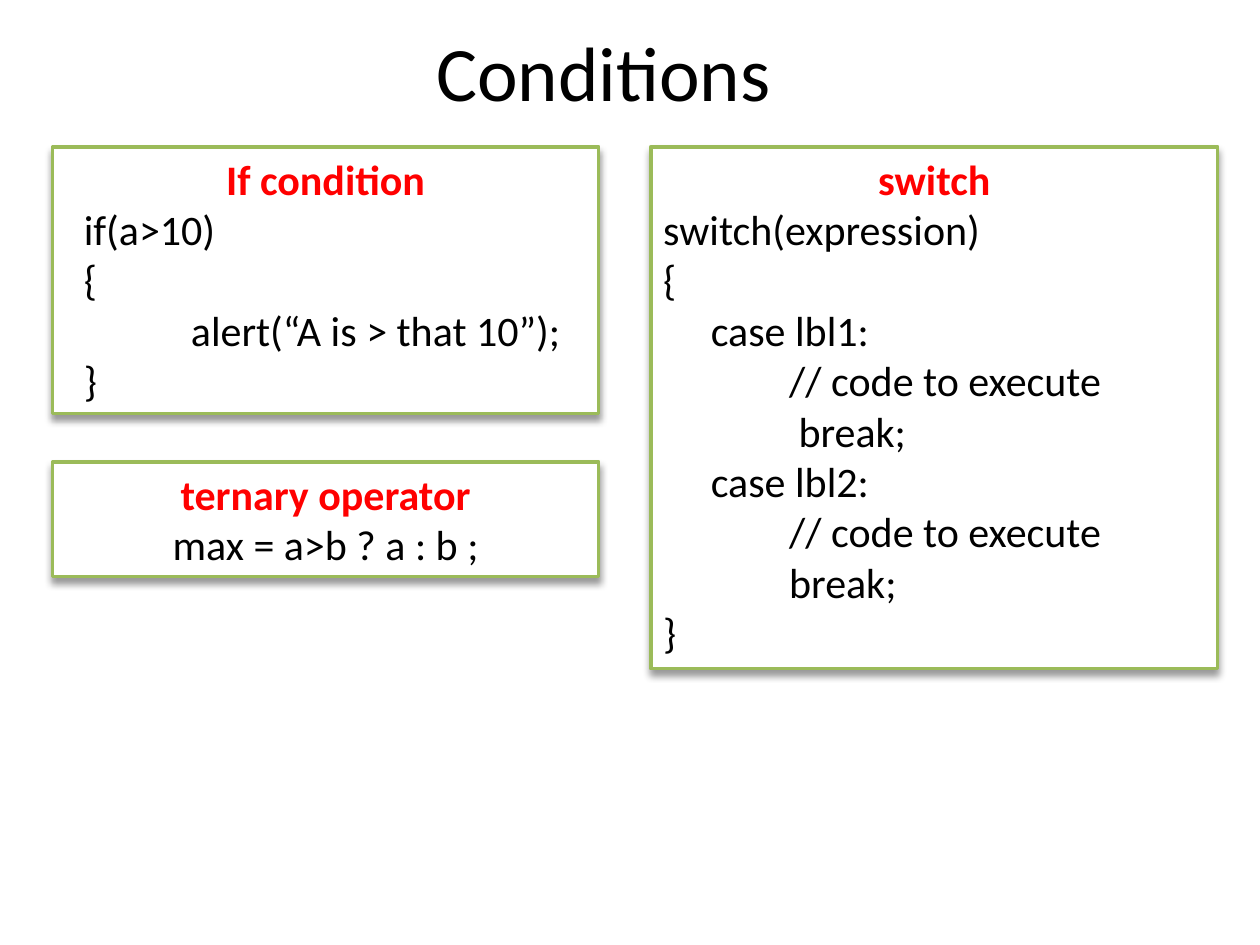
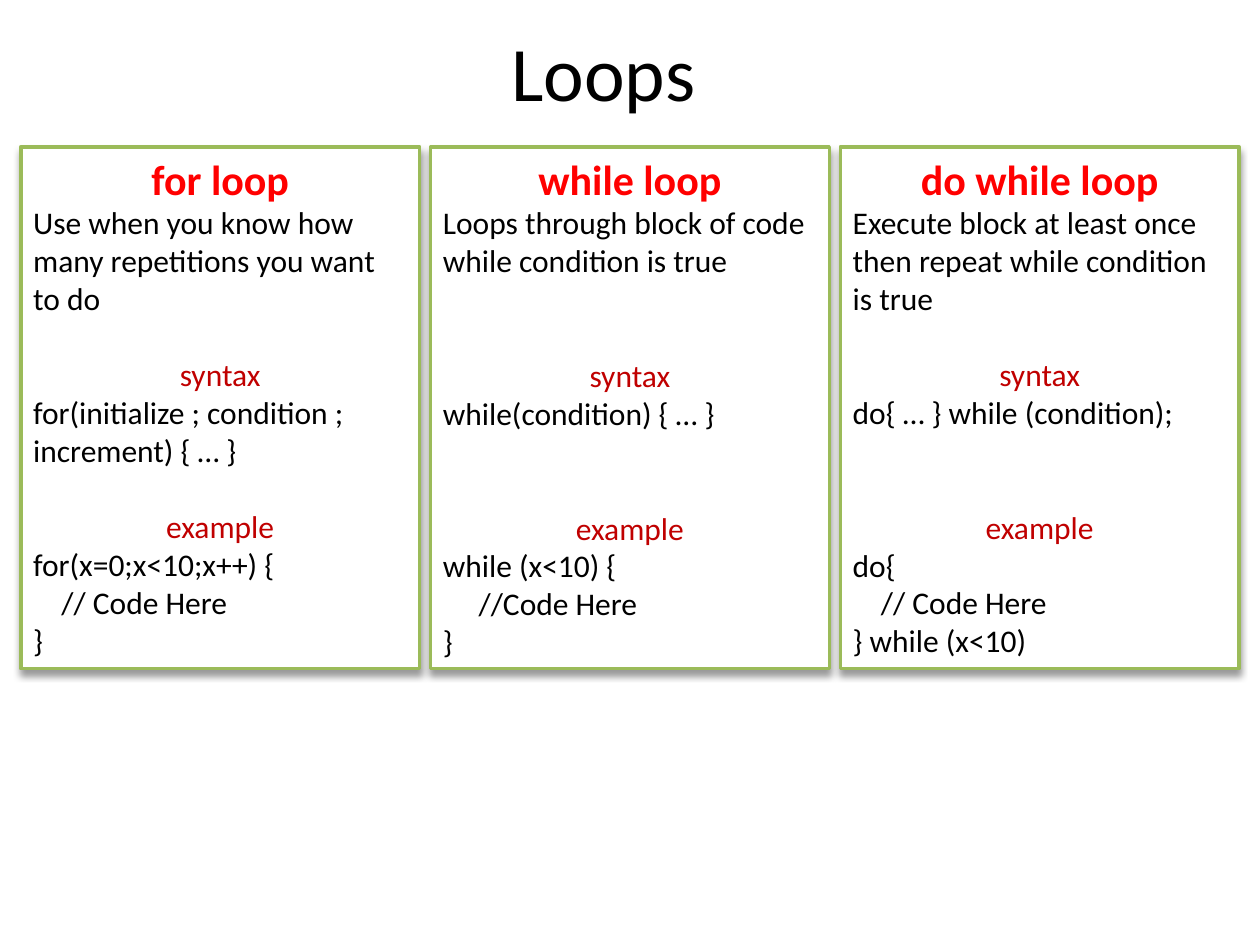
from dataclasses import dataclass

from lxml import etree
from pptx import Presentation
from pptx.dml.color import RGBColor
from pptx.enum.shapes import MSO_SHAPE
from pptx.enum.text import MSO_ANCHOR, MSO_AUTO_SIZE, PP_ALIGN
from pptx.oxml.ns import qn
from pptx.slide import Slide
from pptx.util import Cm, Pt

RECTANGLE = MSO_SHAPE.RECTANGLE
TOP, MIDDLE = MSO_ANCHOR.TOP, MSO_ANCHOR.MIDDLE
LEFT, CENTER = PP_ALIGN.LEFT, PP_ALIGN.CENTER
FIT_SHAPE, NO_FIT = MSO_AUTO_SIZE.SHAPE_TO_FIT_TEXT, MSO_AUTO_SIZE.NONE
TITLE_ONLY = 5


@dataclass(frozen=True)
class Theme:
    font: str = "Calibri"
    ink: str = "000000"
    paper: str = "FFFFFF"
    border: str = "9BBB59"
    heading: str = "FF0000"
    label: str = "C00000"
    title_size: int = 44
    heading_size: int = 24
    code_size: int = 24
    note_size: int = 18
    line_height: float = 1.22


THEME = Theme()


@dataclass(frozen=True)
class Line:
    text: str
    indent: float = 0
    align: PP_ALIGN = LEFT
    color: str = THEME.ink
    gap_lines: int = 0


@dataclass(frozen=True)
class Card:
    heading: str
    lines: list[Line]
    left: float
    top: float
    width: float
    height: float
    size: int = THEME.code_size


@dataclass(frozen=True)
class Loop:
    heading: str
    purpose: str
    syntax: str
    example: list[Line]
    syntax_gap: int
    example_gap: int


CARD_TOP = 2.96
TALL_CARD = 10.52
LEFT_COLUMN, LEFT_WIDTH = 1.06, 11.01
BRACE_INDENT, CASE_INDENT, TAB_INDENT = 0.38, 0.96, 2.54
LOOP_LEFT, LOOP_WIDTH, LOOP_PITCH = 0.42, 8.04, 8.26

CONDITIONS = [
    Card("If condition", [
        Line("if(a>10)", BRACE_INDENT),
        Line("{", BRACE_INDENT),
        Line("alert(“A is > that 10”);", TAB_INDENT),
        Line("}", BRACE_INDENT),
    ], LEFT_COLUMN, CARD_TOP, LEFT_WIDTH, 5.38),
    Card("switch", [
        Line("switch(expression)"),
        Line("{"),
        Line("case lbl1:", CASE_INDENT),
        Line("// code to execute", TAB_INDENT),
        Line("break;", TAB_INDENT + 0.19),
        Line("case lbl2:", CASE_INDENT),
        Line("// code to execute", TAB_INDENT),
        Line("break;", TAB_INDENT),
        Line("}"),
    ], 13.12, CARD_TOP, 11.43, TALL_CARD),
    Card("ternary operator", [Line("max = a>b ? a : b ;", align=CENTER)],
         LEFT_COLUMN, 9.31, LEFT_WIDTH, 2.31),
]

LOOPS = [
    Loop("for loop", "Use when you know how many repetitions you want to do",
         "for(initialize ; condition ; increment) { … }",
         [Line("for(x=0;x<10;x++) {"), Line("// Code Here", 0.57), Line("}")], 1, 1),
    Loop("while loop", "Loops through block of code while condition is true",
         "while(condition) { … }",
         [Line("while (x<10) {"), Line("//Code Here", 0.72), Line("}")], 2, 2),
    Loop("do while loop", "Execute block at least once then repeat while condition is true",
         "do{ … } while (condition);",
         [Line("do{"), Line("// Code Here", 0.57), Line("} while (x<10)")], 1, 2),
]


def label(text: str, gap_lines: int) -> Line:
    return Line(text, align=CENTER, color=THEME.label, gap_lines=gap_lines)


def loop_card(loop: Loop, column: int) -> Card:
    lines = [
        Line(loop.purpose),
        label("syntax", loop.syntax_gap),
        Line(loop.syntax),
        label("example", loop.example_gap),
        *loop.example,
    ]
    return Card(loop.heading, lines, LOOP_LEFT + column * LOOP_PITCH, CARD_TOP,
                LOOP_WIDTH, TALL_CARD, THEME.note_size)


def write_line(paragraph, line: Line, size: int, bold: bool = False) -> None:
    paragraph.text = line.text
    paragraph.alignment = line.align
    paragraph.font.name = THEME.font
    paragraph.font.size = Pt(size)
    paragraph.font.bold = bold
    paragraph.font.color.rgb = RGBColor.from_string(line.color)
    if line.gap_lines:
        paragraph.space_before = Pt(round(line.gap_lines * size * THEME.line_height))
    if line.indent:
        properties = paragraph._p.get_or_add_pPr()
        properties.set("marL", str(Cm(line.indent)))
        properties.set("indent", "0")


def add_shadow(shape) -> None:
    shape.shadow.inherit = False
    effects = shape._element.spPr.find(qn("a:effectLst"))
    shadow = etree.SubElement(effects, qn("a:outerShdw"), blurRad=str(Cm(0.14)),
                              dist=str(Cm(0.11)), dir="5400000", rotWithShape="0")
    color = etree.SubElement(shadow, qn("a:srgbClr"), val=THEME.ink)
    etree.SubElement(color, qn("a:alpha"), val="40000")


def draw_card(slide: Slide, card: Card) -> None:
    shape = slide.shapes.add_shape(RECTANGLE, Cm(card.left), Cm(card.top),
                                   Cm(card.width), Cm(card.height))
    shape.fill.solid()
    shape.fill.fore_color.rgb = RGBColor.from_string(THEME.paper)
    shape.line.color.rgb = RGBColor.from_string(THEME.border)
    shape.line.width = Cm(0.07)
    add_shadow(shape)
    frame = shape.text_frame
    frame.word_wrap = True
    frame.auto_size = FIT_SHAPE
    frame.vertical_anchor = TOP
    heading = Line(card.heading, align=CENTER, color=THEME.heading)
    write_line(frame.paragraphs[0], heading, THEME.heading_size, bold=True)
    for line in card.lines:
        write_line(frame.add_paragraph(), line, card.size)


def add_card_slide(presentation, title: str, cards: list[Card]) -> None:
    slide = presentation.slides.add_slide(presentation.slide_layouts[TITLE_ONLY])
    shape = slide.shapes.title
    shape.left, shape.top = Cm(0), Cm(0.3)
    shape.width, shape.height = Cm(24.33), Cm(2.24)
    shape.text_frame.auto_size = NO_FIT
    shape.text_frame.vertical_anchor = MIDDLE
    write_line(shape.text_frame.paragraphs[0], Line(title, align=CENTER), THEME.title_size)
    for card in cards:
        draw_card(slide, card)


def main() -> None:
    presentation = Presentation()
    presentation.slide_width, presentation.slide_height = Cm(25.4), Cm(19.05)
    add_card_slide(presentation, "Conditions", CONDITIONS)
    add_card_slide(presentation, "Loops",
                   [loop_card(loop, column) for column, loop in enumerate(LOOPS)])
    presentation.save("out.pptx")


if __name__ == "__main__":
    main()
